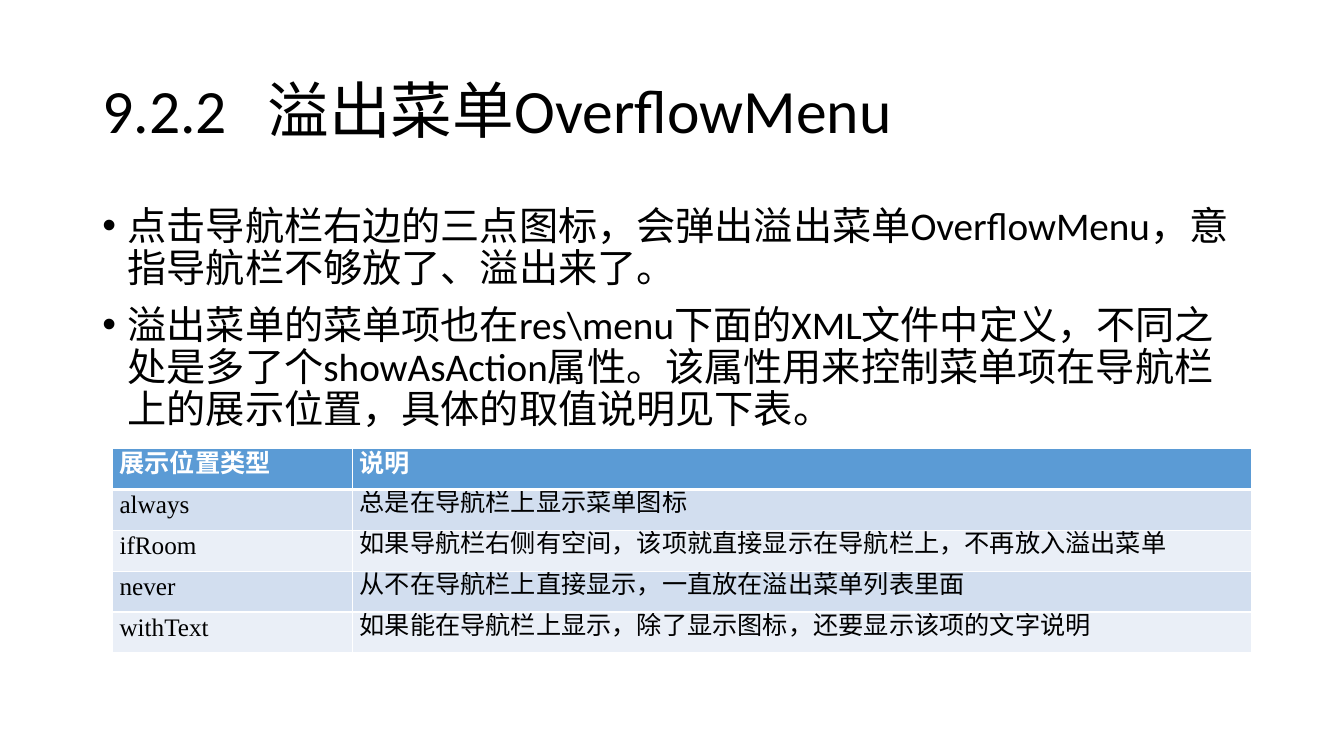
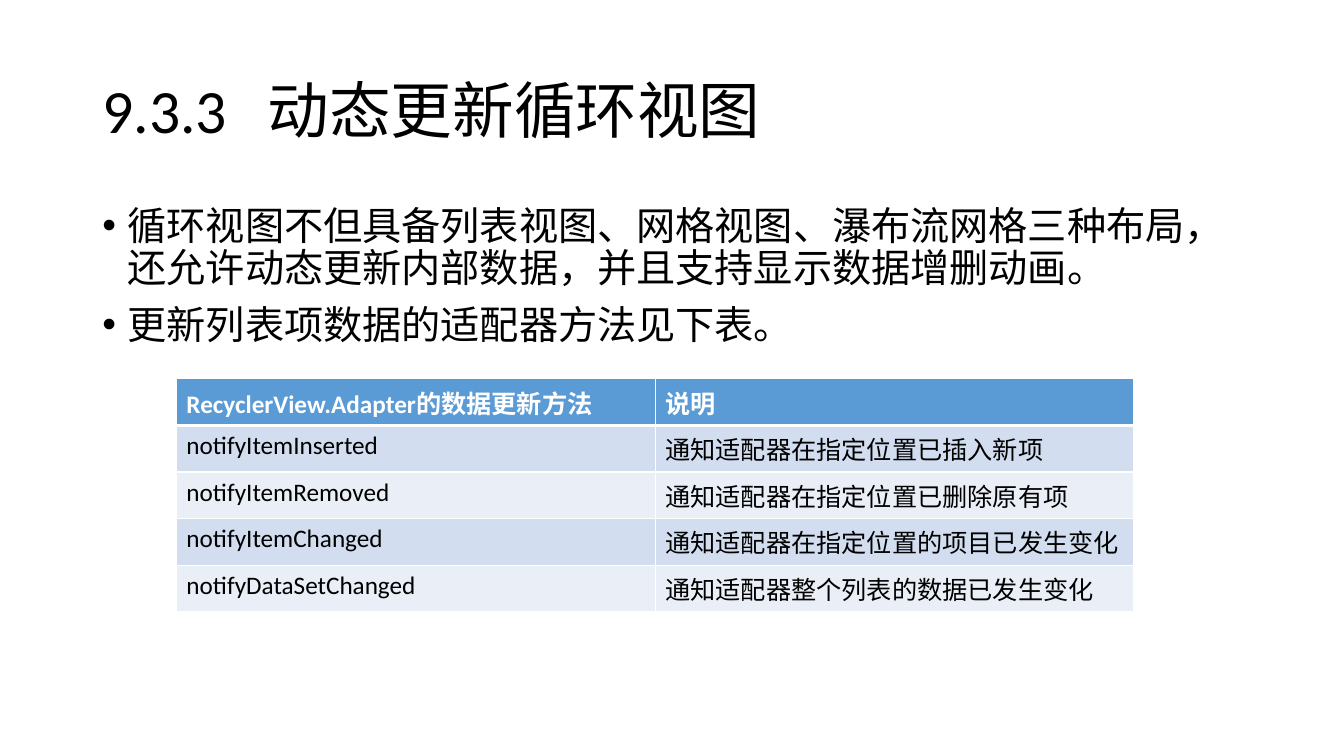
from lxml import etree
from pptx import Presentation
from pptx.dml.color import RGBColor
from pptx.enum.text import MSO_ANCHOR, MSO_AUTO_SIZE, PP_ALIGN
from pptx.oxml.ns import qn
from pptx.util import Inches, Pt

TOP, MID = MSO_ANCHOR.TOP, MSO_ANCHOR.MIDDLE
LEFT, JUST = PP_ALIGN.LEFT, PP_ALIGN.JUSTIFY
FIXED = MSO_AUTO_SIZE.NONE

HUES = {"text": "000000", "white": "FFFFFF", "head": "5B9BD5",
        "odd": "D2DEEF", "even": "EAEFF7"}
FACE = "Calibri"
WIDE, HIGH = Inches(13.333), Inches(7.5)
COLS, ROWS = 160, 90
LINE = 4.87

TIGHT = {"anchor": MID, "sides": (0.07, 0), "align": (JUST, LEFT),
         "faces": ("Arial", "Times New Roman"), "space": (Pt(15.6), Pt(13))}
LOOSE = {"anchor": TOP, "sides": (0.1, 0.05), "align": (LEFT, LEFT),
         "faces": (FACE, FACE), "space": (1.0, 1.0)}

MENU = [
    ("展示位置类型", "说明"),
    ("always", "总是在导航栏上显示菜单图标"),
    ("ifRoom", "如果导航栏右侧有空间，该项就直接显示在导航栏上，不再放入溢出菜单"),
    ("never", "从不在导航栏上直接显示，一直放在溢出菜单列表里面"),
    ("withText", "如果能在导航栏上显示，除了显示图标，还要显示该项的文字说明"),
]
CALLS = [
    ("RecyclerView.Adapter的数据更新方法", "说明"),
    ("notifyItemInserted", "通知适配器在指定位置已插入新项"),
    ("notifyItemRemoved", "通知适配器在指定位置已删除原有项"),
    ("notifyItemChanged", "通知适配器在指定位置的项目已发生变化"),
    ("notifyDataSetChanged", "通知适配器整个列表的数据已发生变化"),
]


def grid(col, row, wide, high):
    """Turn grid columns and rows into left, top, width and height."""
    return (int(WIDE * col / COLS), int(HIGH * row / ROWS),
            int(WIDE * wide / COLS), int(HIGH * high / ROWS))


def hue(name):
    """Look up a named colour."""
    return RGBColor.from_string(HUES[name])


def add(parent, tag, **attrs):
    """Append a drawing element and return it."""
    return etree.SubElement(parent, qn(tag), {k: str(v) for k, v in attrs.items()})


def style(para, size, face=FACE, tone="text", bold=False, align=LEFT, space=0.9):
    """Set the font, alignment and line spacing of a paragraph."""
    para.alignment, para.line_spacing = align, space
    font = para.font
    font.name, font.size, font.bold = face, Pt(size), bold
    font.color.rgb = hue(tone)


def place(shape, box, anchor):
    """Move a placeholder and return its text frame."""
    shape.left, shape.top, shape.width, shape.height = box
    frame = shape.text_frame
    frame.auto_size, frame.word_wrap = FIXED, True
    frame.vertical_anchor = anchor
    return frame


def title(slide, number, name):
    """Fill the title, with the name at a tab stop after the number."""
    frame = place(slide.shapes.title, grid(11, 4.8, 138, 17.4), MID)
    para = frame.paragraphs[0]
    para.text = f"{number}\t{name}"
    tabs = add(para._p.get_or_add_pPr(), "a:tabLst")
    add(tabs, "a:tab", pos=Inches(1.64), algn="l")
    style(para, 44)


def points(slide, items):
    """Fill the body with bulleted paragraphs."""
    frame = place(slide.placeholders[1], grid(11, 24, 138, 57.1), TOP)
    for i, item in enumerate(items):
        para = frame.add_paragraph() if i else frame.paragraphs[0]
        para.text = item
        props = para._p.get_or_add_pPr()
        props.set("marL", str(Inches(0.25)))
        props.set("indent", str(-Inches(0.25)))
        add(props, "a:buFont", typeface="Arial")
        add(props, "a:buChar", char="•")
        para.space_before = Pt(10 if i else 0)
        style(para, 28)


def edges(cell, row):
    """Draw white cell borders, thicker below the header."""
    props = cell._tc.get_or_add_tcPr()
    for side in "LRTB":
        thick = (row, side) in ((0, "B"), (1, "T"))
        line = add(props, f"a:ln{side}", w=Pt(3 if thick else 1))
        add(add(line, "a:solidFill"), "a:srgbClr", val=HUES["white"])


def fill(cell, text, row, look):
    """Write and format one table cell."""
    kind = min(row, 1)
    edges(cell, row)
    cell.fill.solid()
    cell.fill.fore_color.rgb = hue("head" if not row else "odd" if row % 2 else "even")
    cell.vertical_anchor = look["anchor"]
    across, down = map(Inches, look["sides"])
    cell.margin_left = cell.margin_right = across
    cell.margin_top = cell.margin_bottom = down
    para = cell.text_frame.paragraphs[0]
    para.text = text
    style(para, 18, look["faces"][kind], "text" if row else "white",
          not row, look["align"][kind], look["space"][kind])


def table(slide, col, row, widths, data, look):
    """Add a banded table at a grid point."""
    box = grid(col, row, sum(widths), LINE * len(data))
    made = slide.shapes.add_table(len(data), len(widths), *box).table
    for i, wide in enumerate(widths):
        made.columns[i].width = int(WIDE * wide / COLS)
    for r, texts in enumerate(data):
        made.rows[r].height = int(HIGH * LINE / ROWS)
        for c, text in enumerate(texts):
            fill(made.cell(r, c), text, r, look)


def main():
    """Build both slides and save them."""
    deck = Presentation()
    deck.slide_width, deck.slide_height = WIDE, HIGH
    layout = deck.slide_layouts[1]

    slide = deck.slides.add_slide(layout)
    title(slide, "9.2.2", "溢出菜单OverflowMenu")
    points(slide, [
        "点击导航栏右边的三点图标，会弹出溢出菜单OverflowMenu，意指导航栏不够放了、溢出来了。",
        "溢出菜单的菜单项也在res\\menu下面的XML文件中定义，不同之处是多了个showAsAction属性。"
        "该属性用来控制菜单项在导航栏上的展示位置，具体的取值说明见下表。",
    ])
    table(slide, 13.4, 53.4, (28.6, 107), MENU, TIGHT)

    slide = deck.slides.add_slide(layout)
    title(slide, "9.3.3", "动态更新循环视图")
    points(slide, [
        "循环视图不但具备列表视图、网格视图、瀑布流网格三种布局，"
        "还允许动态更新内部数据，并且支持显示数据增删动画。",
        "更新列表项数据的适配器方法见下表。",
    ])
    table(slide, 21, 45.1, (57, 57), CALLS, LOOSE)

    deck.save("out.pptx")


if __name__ == "__main__":
    main()
